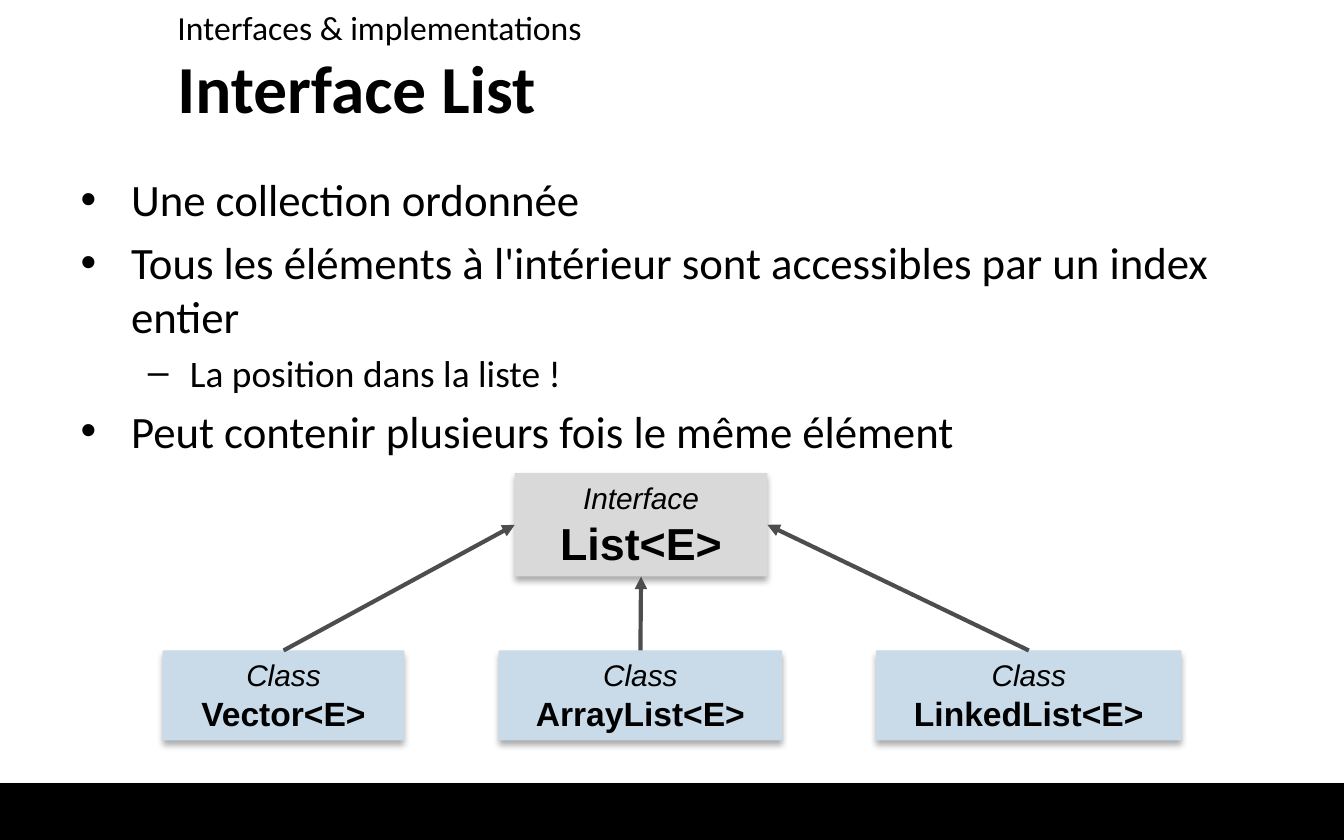
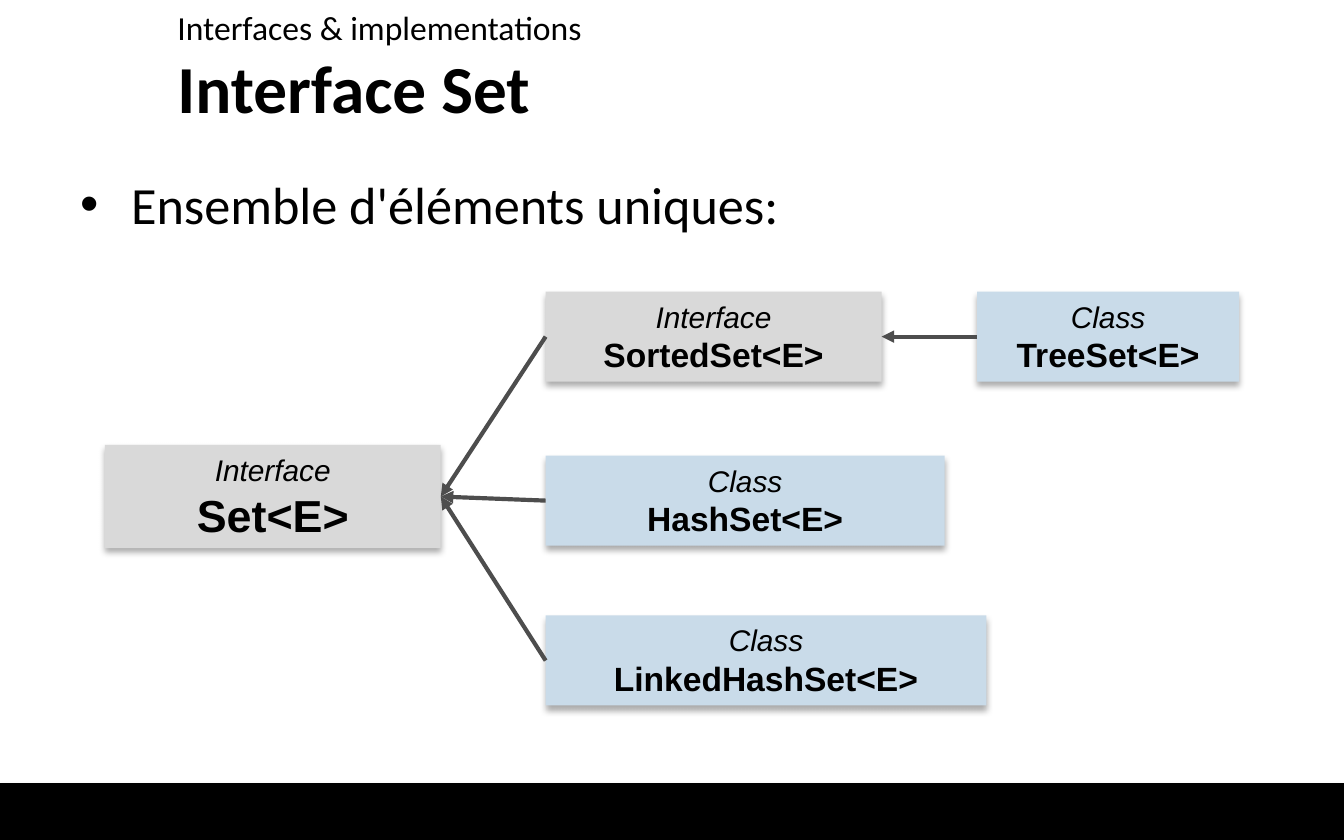
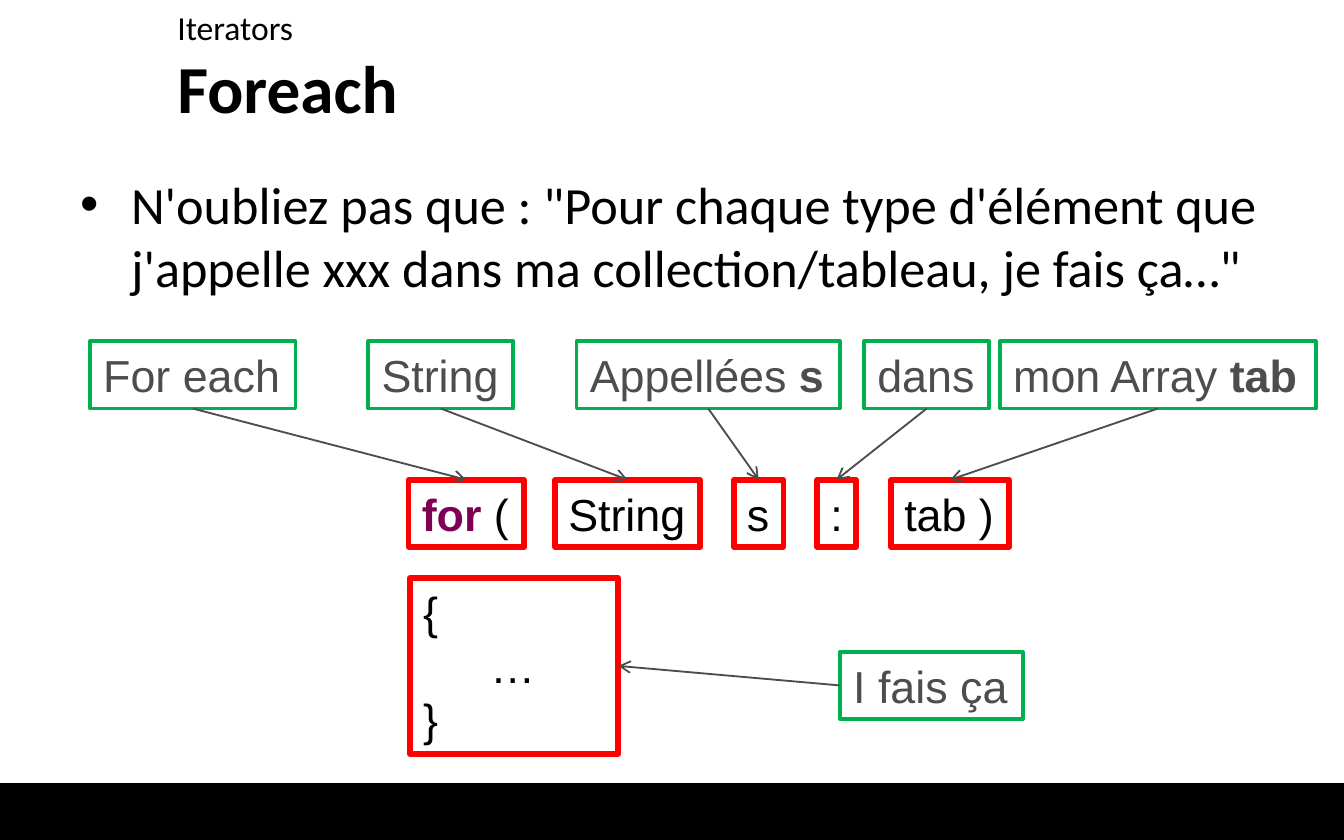
from lxml.etree import SubElement
from pptx import Presentation
from pptx.dml.color import RGBColor
from pptx.enum.shapes import MSO_CONNECTOR, MSO_SHAPE
from pptx.enum.text import MSO_ANCHOR, MSO_AUTO_SIZE, PP_ALIGN
from pptx.oxml.ns import qn
from pptx.util import Inches, Pt

BLACK = RGBColor(0x00, 0x00, 0x00)
WHITE = RGBColor(0xFF, 0xFF, 0xFF)
BAND_SHADOW = RGBColor(0x80, 0x80, 0x80)
INTERFACE_GRAY = RGBColor(0xD9, 0xD9, 0xD9)
CLASS_BLUE = RGBColor(0xC9, 0xDB, 0xE9)
DARK_GRAY = RGBColor(0x4D, 0x4D, 0x4D)
CODE_RED = RGBColor(0xFF, 0x00, 0x00)
PHRASE_GREEN = RGBColor(0x00, 0xB0, 0x50)
KEYWORD_PURPLE = RGBColor(0x7F, 0x00, 0x55)

HEADING_FONT = "Calibri"
DIAGRAM_FONT = "Arial"
TITLE, BODY, CHAPTER = 0, 1, 2
PLACES = {
    TITLE: (1.22, 0.37, 8.5, 0.55),
    BODY: (0.5, 1.23, 9.23, 4.63),
    CHAPTER: (1.22, 0, 8.51, 0.37),
}
TOP, LEFT, BOTTOM, RIGHT = range(4)
TOKEN_HEIGHT = 0.5


def style_font(font, name, size, color=BLACK, bold=False, italic=False):
    """Set every visible property of a font."""
    font.name, font.size = name, Pt(size)
    font.bold, font.italic = bold, italic
    font.color.rgb = color


def style_paragraph(paragraph, *style, **options):
    """Give all runs of a paragraph one style."""
    for run in paragraph.runs:
        style_font(run.font, *style, **options)


def cast_shadow(shape, color, opacity, blur, distance):
    """Give a shape a soft shadow straight below it."""
    shape.shadow.inherit = False
    effects = shape._element.spPr.find(qn("a:effectLst"))
    shadow = SubElement(effects, qn("a:outerShdw"), blurRad=str(Pt(blur)),
                        dist=str(Pt(distance)), dir="5400000", rotWithShape="0")
    tint = SubElement(shadow, qn("a:srgbClr"), val=str(color))
    SubElement(tint, qn("a:alpha"), val=str(opacity * 1000))


def add_rectangle(slide, box, fill=None, line=None, weight=1):
    """Draw a plain rectangle in a box given in inches."""
    rectangle = slide.shapes.add_shape(MSO_SHAPE.RECTANGLE, *map(Inches, box))
    rectangle.shadow.inherit = False
    if fill is None:
        rectangle.fill.background()
    else:
        rectangle.fill.solid()
        rectangle.fill.fore_color.rgb = fill
    if line is None:
        rectangle.line.fill.background()
    else:
        rectangle.line.color.rgb = line
        rectangle.line.width = Pt(weight)
    return rectangle


def link(slide, source, source_side, target, target_side, weight, head):
    """Join two shapes by an arrow that points at the target."""
    arrow = slide.shapes.add_connector(MSO_CONNECTOR.STRAIGHT, 0, 0, 0, 0)
    arrow.begin_connect(source, source_side)
    arrow.end_connect(target, target_side)
    arrow.line.color.rgb = DARK_GRAY
    arrow.line.width = Pt(weight)
    SubElement(arrow.line._get_or_add_ln(), qn("a:tailEnd"), type=head)
    SubElement(arrow._element.spPr, qn("a:effectLst"))


def prepare_layout(layout):
    """Place the shared placeholders and drop the unused ones."""
    for holder in list(layout.placeholders):
        place = PLACES.get(holder.placeholder_format.idx)
        if place is None:
            holder.element.getparent().remove(holder.element)
        else:
            holder.left, holder.top, holder.width, holder.height = map(Inches, place)


def add_band(slide):
    """Draw the black band at the foot, behind the content."""
    band = add_rectangle(slide, (0, 5.83, 10, 0.45), BLACK, BLACK, 0.75)
    cast_shadow(band, BAND_SHADOW, 35, 3.1, 1.8)


def add_topic(presentation, layout, chapter, title, points):
    """Add a slide with chapter line, title and (level, size, text) points."""
    slide = presentation.slides.add_slide(layout)
    add_band(slide)
    holders = slide.placeholders
    for idx in PLACES:
        holders[idx].text_frame.auto_size = MSO_AUTO_SIZE.NONE

    holders[TITLE].text_frame.text = title
    holders[TITLE].text_frame.vertical_anchor = MSO_ANCHOR.MIDDLE
    heading = holders[TITLE].text_frame.paragraphs[0]
    heading.alignment = PP_ALIGN.LEFT
    style_paragraph(heading, HEADING_FONT, 36, bold=True)

    holders[CHAPTER].text_frame.text = chapter
    chapter_line = holders[CHAPTER].text_frame.paragraphs[0]
    properties = chapter_line._p.get_or_add_pPr()
    properties.set("marL", "0")
    properties.set("indent", "0")
    SubElement(properties, qn("a:buNone"))
    style_paragraph(chapter_line, HEADING_FONT, 18)

    body = holders[BODY].text_frame
    body.text = "\n".join(text for _, _, text in points)
    for paragraph, (level, size, _) in zip(body.paragraphs, points):
        paragraph.level = level
        style_paragraph(paragraph, HEADING_FONT, size)
    return slide


def add_type(slide, left, top, width, kind, name, root=False):
    """Draw the box of an interface or class; a root has a larger name."""
    fill = INTERFACE_GRAY if kind == "Interface" else CLASS_BLUE
    type_box = add_rectangle(slide, (left, top, width, 0.77 if root else 0.67), fill)
    cast_shadow(type_box, BLACK, 32, 3.5, 2.2)
    frame = type_box.text_frame
    frame.text = f"{kind}\n{name}"
    frame.vertical_anchor = MSO_ANCHOR.TOP
    frame.auto_size = MSO_AUTO_SIZE.SHAPE_TO_FIT_TEXT
    kind_line, name_line = frame.paragraphs
    kind_line.alignment = name_line.alignment = PP_ALIGN.CENTER
    style_paragraph(kind_line, DIAGRAM_FONT, 16, italic=True)
    style_paragraph(name_line, DIAGRAM_FONT, 24 if root else 18, bold=True)
    return type_box


def draw_list_types(slide, left, top):
    """Draw List above its three implementations."""
    root = add_type(slide, left + 2.62, top, 1.88, "Interface", "List<E>", root=True)
    for offset, width, name, side in (
        (0, 1.8, "Vector<E>", LEFT),
        (2.5, 2.11, "ArrayList<E>", BOTTOM),
        (5.31, 2.27, "LinkedList<E>", RIGHT),
    ):
        implementation = add_type(slide, left + offset, top + 1.32, width, "Class", name)
        link(slide, implementation, TOP, root, side, 2.25, "triangle")


def draw_set_types(slide, left, top):
    """Draw Set with its subtypes to the right."""
    root = add_type(slide, left, top + 1.14, 2.5, "Interface", "Set<E>", root=True)
    subtypes = [
        add_type(slide, left + 3.28, top + offset, width, kind, name)
        for offset, width, kind, name in (
            (0, 2.5, "Interface", "SortedSet<E>"),
            (1.22, 2.97, "Class", "HashSet<E>"),
            (2.41, 3.28, "Class", "LinkedHashSet<E>"),
        )
    ]
    for subtype in subtypes:
        link(slide, subtype, LEFT, root, RIGHT, 2.25, "triangle")
    tree_set = add_type(slide, left + 6.49, top, 1.95, "Class", "TreeSet<E>")
    link(slide, tree_set, LEFT, subtypes[0], RIGHT, 2.25, "triangle")


def fill_token(token, lines, color, bold_color):
    """Write lines of (text, bold) pieces into a framed token."""
    frame = token.text_frame
    frame.word_wrap = False
    frame.auto_size = MSO_AUTO_SIZE.SHAPE_TO_FIT_TEXT
    frame.vertical_anchor = MSO_ANCHOR.TOP
    for number, pieces in enumerate(lines):
        paragraph = frame.add_paragraph() if number else frame.paragraphs[0]
        paragraph.alignment = PP_ALIGN.LEFT
        for text, bold in pieces:
            run = paragraph.add_run()
            run.text = text
            style_font(run.font, DIAGRAM_FONT, 24, bold_color if bold else color, bold)


def add_phrase(slide, box, *pieces):
    """Draw a green frame with spoken words."""
    phrase = add_rectangle(slide, box, WHITE, PHRASE_GREEN, 2)
    fill_token(phrase, [pieces], DARK_GRAY, DARK_GRAY)
    return phrase


def add_code(slide, box, *lines):
    """Draw a red frame with lines of code."""
    code = add_rectangle(slide, box, None, CODE_RED, 3)
    fill_token(code, lines, BLACK, KEYWORD_PURPLE)
    return code


def draw_loop(slide, left, top):
    """Match the spoken phrases with the parts of the loop."""
    for phrase_at, phrase_width, words, code_at, code_width, syntax in (
        (0, 1.53, [("For each", False)], 2.37, 0.86, [("for", True), (" (", False)]),
        (2.07, 1.08, [("String", False)], 3.46, 1.08, [("String", False)]),
        (3.62, 1.96, [("Appellées ", False), ("s", True)], 4.79, 0.37, [("s", False)]),
        (5.76, 0.93, [("dans", False)], 5.41, 0.29, [(":", False)]),
        (6.77, 2.35, [("mon Array ", False), ("tab", True)], 5.96, 0.88, [("tab )", False)]),
    ):
        phrase = add_phrase(slide, (left + phrase_at, top, phrase_width, TOKEN_HEIGHT), *words)
        code = add_code(slide, (left + code_at, top + 1.03, code_width, TOKEN_HEIGHT), syntax)
        link(slide, phrase, BOTTOM, code, TOP, 1, "arrow")

    block = add_code(slide, (left + 2.38, top + 1.76, 1.55, 1.31),
                     [("{", False)], [("\t…", False)], [("}", False)])
    action = add_phrase(slide, (left + 5.58, top + 2.31, 1.36, TOKEN_HEIGHT),
                        ("I fais ça", False))
    link(slide, action, LEFT, block, RIGHT, 1, "arrow")


def main():
    """Build the three slides."""
    presentation = Presentation()
    presentation.slide_width, presentation.slide_height = Inches(10), Inches(6.25)
    layout = presentation.slide_layouts.get_by_name("Two Content")
    prepare_layout(layout)

    implementations = "Interfaces & implementations"
    list_slide = add_topic(presentation, layout, implementations, "Interface List", [
        (0, 24, "Une collection ordonnée"),
        (0, 24, "Tous les éléments à l'intérieur sont accessibles par un index entier"),
        (1, 20, "La position dans la liste !"),
        (0, 24, "Peut contenir plusieurs fois le même élément"),
    ])
    draw_list_types(list_slide, 1.21, 3.52)

    set_slide = add_topic(presentation, layout, implementations, "Interface Set", [
        (0, 28, "Ensemble d'éléments uniques:"),
    ])
    draw_set_types(set_slide, 0.78, 2.17)

    foreach_slide = add_topic(presentation, layout, "Iterators", "Foreach", [
        (0, 28, "N'oubliez pas que : \"Pour chaque type d'élément que "
                "j'appelle xxx dans ma collection/tableau, je fais ça…\""),
    ])
    draw_loop(foreach_slide, 0.67, 2.54)

    presentation.save("out.pptx")


if __name__ == "__main__":
    main()
